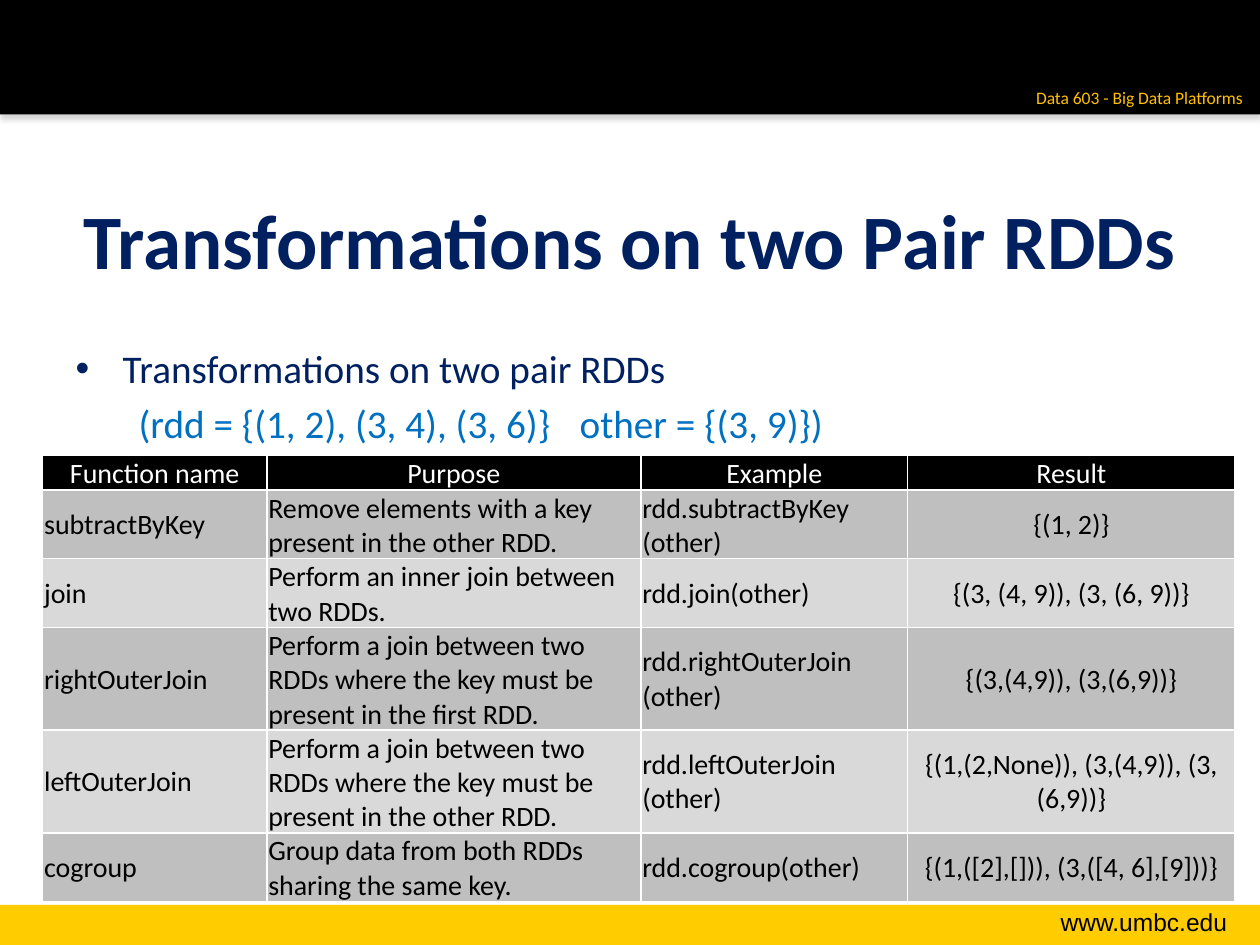
from lxml import etree
from pptx import Presentation
from pptx import util as u
from pptx.dml import color
from pptx.enum import shapes, text
from pptx.oxml import ns

COLORS = {
    "black": "000000", "white": "FFFFFF", "gold": "FFCC00", "amber": "FFC000",
    "navy": "002060", "blue": "0070C0", "shadow": "808080",
    "dark_row": "BFBFBF", "light_row": "D9D9D9",
}
LEFT, CENTER, RIGHT = text.PP_ALIGN.LEFT, text.PP_ALIGN.CENTER, text.PP_ALIGN.RIGHT


def rgb(name):
    return color.RGBColor.from_string(COLORS[name])


def write(paragraph, words, size=16, fill="black", font="Calibri", bold=False, align=LEFT):
    paragraph.text = words
    paragraph.alignment = align
    paragraph.font.size = u.Pt(size)
    paragraph.font.name = font
    paragraph.font.bold = bold
    paragraph.font.color.rgb = rgb(fill)


presentation = Presentation()
presentation.slide_width, presentation.slide_height = u.Cm(25.4), u.Cm(19.05)
slide = presentation.slides.add_slide(presentation.slide_layouts[1])

for top, height, fill in [(18.24, 0.81, "gold"), (0, 2.31, "black")]:
    band = slide.shapes.add_shape(
        shapes.MSO_SHAPE.RECTANGLE, u.Cm(0), u.Cm(top), u.Cm(25.4), u.Cm(height))
    band.shadow.inherit = False
    band.fill.solid()
    band.fill.fore_color.rgb = rgb(fill)
    band.line.fill.background()

effects = band._element.spPr.find(ns.qn("a:effectLst"))
shadow = etree.SubElement(
    effects, ns.qn("a:outerShdw"), blurRad=str(u.Pt(3.1)), dist=str(u.Pt(1.8)),
    dir="5400000", rotWithShape="0")
shadow_color = etree.SubElement(shadow, ns.qn("a:srgbClr"), val=COLORS["shadow"])
etree.SubElement(shadow_color, ns.qn("a:alpha"), val="35000")

labels = [
    ("www.umbc.edu", (19.94, 18.16, 5.05, 0.86), True, 14, "black", "Arial"),
    ("Data 603 - Big Data Platforms", (20.55, 1.63, 4.75, 0.69), False, 10, "amber", "Calibri"),
]
for words, box, wrap, size, fill, font in labels:
    label = slide.shapes.add_textbox(*map(u.Cm, box))
    label.text_frame.word_wrap = wrap
    write(label.text_frame.paragraphs[0], words, size=size, fill=fill, font=font, align=RIGHT)

title, body = slide.placeholders
for shape, top, height in [(title, 3.23, 3.18), (body, 6.81, 2.13)]:
    shape.left, shape.top = u.Cm(1.27), u.Cm(top)
    shape.width, shape.height = u.Cm(22.86), u.Cm(height)
    shape.text_frame.auto_size = text.MSO_AUTO_SIZE.NONE

title.text_frame.vertical_anchor = text.MSO_ANCHOR.MIDDLE
write(title.text_frame.paragraphs[0], "Transformations on two Pair RDDs",
      size=44, fill="navy", bold=True, align=CENTER)

bullet = body.text_frame.paragraphs[0]
bullet_properties = bullet._p.get_or_add_pPr()
bullet_properties.set("marL", str(u.Cm(0.95)))
bullet_properties.set("indent", str(u.Cm(-0.95)))
etree.SubElement(bullet_properties, ns.qn("a:buChar"), char="•")
write(bullet, "Transformations on two pair RDDs", size=22.4, fill="navy")
bullet.space_before = u.Pt(0)

inputs = body.text_frame.add_paragraph()
inputs_properties = inputs._p.get_or_add_pPr()
inputs_properties.set("marL", "0")
inputs_properties.set("indent", "0")
etree.SubElement(inputs_properties, ns.qn("a:buNone"))
tab_stops = etree.SubElement(inputs_properties, ns.qn("a:tabLst"))
for position in (1.27, 12.7):
    etree.SubElement(tab_stops, ns.qn("a:tab"), pos=str(u.Cm(position)), algn="l")
write(inputs, "\t(rdd = {(1, 2), (3, 4), (3, 6)}\tother = {(3, 9)})", size=22.4, fill="blue")

rows = [
    (1, "Function name", "Purpose", "Example", "Result"),
    (2, "subtractByKey", "Remove elements with a key present in the other RDD.",
     "rdd.subtractByKey (other)", "{(1, 2)}"),
    (2, "join", "Perform an inner join between two RDDs.",
     "rdd.join(other)", "{(3, (4, 9)), (3, (6, 9))}"),
    (3, "rightOuterJoin",
     "Perform a join between two RDDs where the key must be present in the first RDD.",
     "rdd.rightOuterJoin (other)", "{(3,(4,9)), (3,(6,9))}"),
    (3, "leftOuterJoin",
     "Perform a join between two RDDs where the key must be present in the other RDD.",
     "rdd.leftOuterJoin (other)", "{(1,(2,None)), (3,(4,9)), (3,(6,9))}"),
    (2, "cogroup", "Group data from both RDDs sharing the same key.",
     "rdd.cogroup(other)", "{(1,([2],[])), (3,([4, 6],[9]))}"),
]
column_widths = [4.52, 7.54, 5.38, 6.6]
line_height = 0.69
table = slide.shapes.add_table(
    len(rows), len(column_widths), u.Cm(0.86), u.Cm(9.17), u.Cm(sum(column_widths)),
    u.Cm(line_height * sum(row[0] for row in rows))).table
for column, width in zip(table.columns, column_widths):
    column.width = u.Cm(width)

for row_index, (lines, *entries) in enumerate(rows):
    table.rows[row_index].height = u.Cm(line_height * lines)
    header = row_index == 0
    row_fill = "black" if header else ("light_row", "dark_row")[row_index % 2]
    for column_index, entry in enumerate(entries):
        cell = table.cell(row_index, column_index)
        cell.vertical_anchor = text.MSO_ANCHOR.MIDDLE
        cell.margin_left = cell.margin_right = cell.margin_top = u.Cm(0.03)
        cell.margin_bottom = u.Cm(0)
        cell_properties = cell._tc.get_or_add_tcPr()
        for side in ("lnL", "lnR", "lnT", "lnB"):
            border = etree.SubElement(cell_properties, ns.qn("a:" + side), w=str(u.Pt(1)))
            border_fill = etree.SubElement(border, ns.qn("a:solidFill"))
            etree.SubElement(border_fill, ns.qn("a:srgbClr"), val=COLORS["white"])
        cell.fill.solid()
        cell.fill.fore_color.rgb = rgb(row_fill)
        write(cell.text_frame.paragraphs[0], entry, fill="white" if header else "black",
              align=CENTER if header or column_index == 3 else LEFT)

presentation.save("out.pptx")
